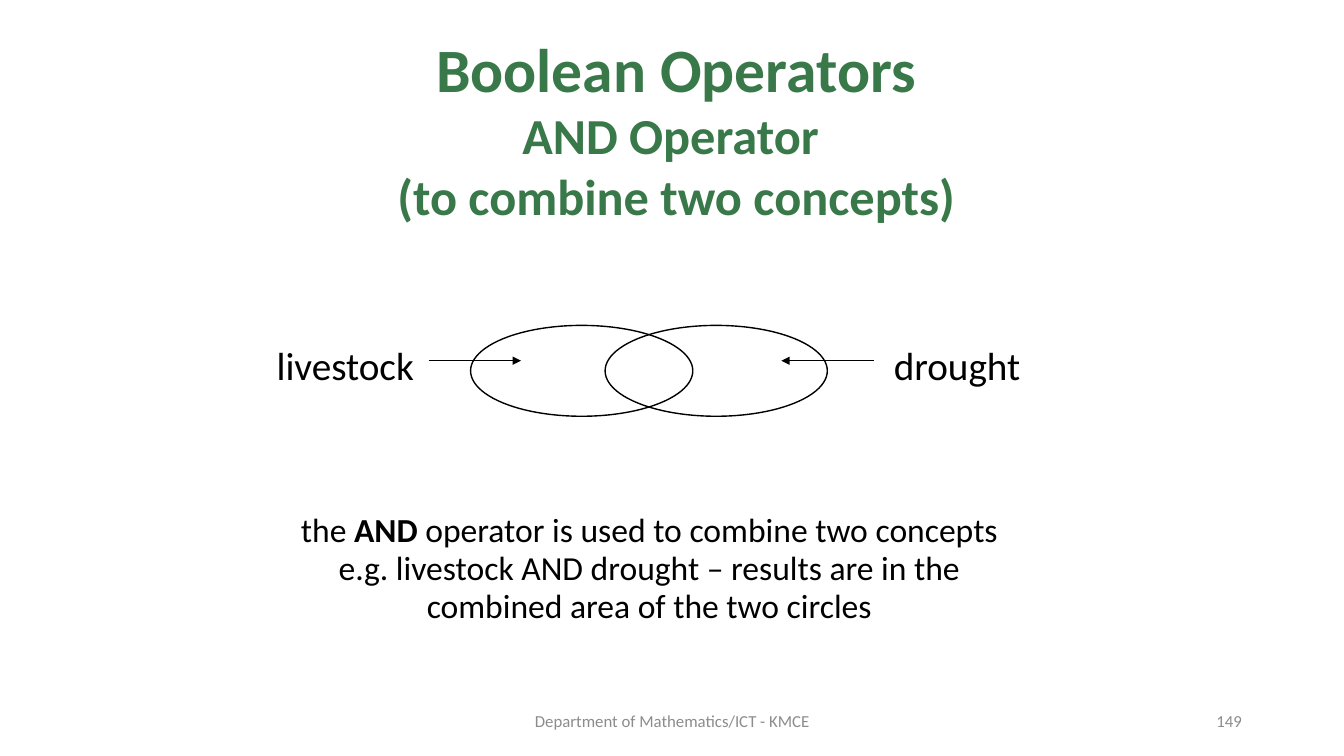
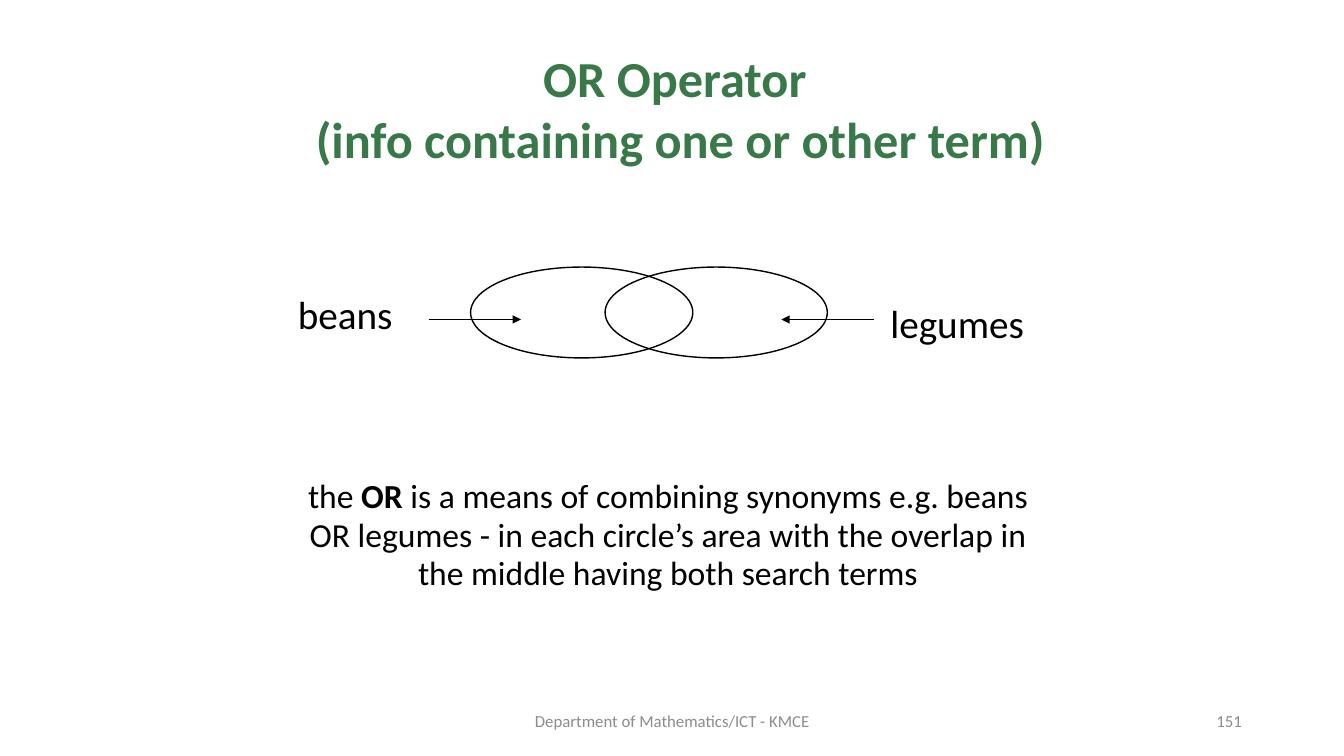
from lxml import etree
from pptx import Presentation
from pptx.dml.color import RGBColor
from pptx.enum import shapes, text
from pptx.oxml.ns import qn
from pptx.util import Cm, Pt

FONT = "Calibri"
GREEN, BLACK, GREY = "387849", "000000", "8C8C8C"
CENTER, RIGHT = text.PP_ALIGN.CENTER, text.PP_ALIGN.RIGHT
TOP, MIDDLE = text.MSO_ANCHOR.TOP, text.MSO_ANCHOR.MIDDLE
FOOTER = "Department of Mathematics/ICT - KMCE"

# Diagram measures in centimetres; x runs from the tail of the left arrow
DIAGRAM_LEFT, DIAGRAM_WIDTH = 10.8, 11.22
ELLIPSE_SIZE = 5.6, 2.29
ELLIPSE_OFFSETS = 1.06, 4.45
ARROW_LENGTH = 2.33
LABEL_SIZE = 4.4, 1.45
LABEL_GAP = 2.1

SLIDES = [
    {
        "title": [("Boolean Operators", 44),
                  ("AND Operator \v(to combine two concepts)", 36)],
        "title_box": (7.42, 0.64, 19.25, 5.2),
        "diagram_top": 8.2,
        "arrow_drop": 0.89,
        "labels": [("livestock", 0.26), ("drought", 0.26)],
        "body": ("the ", "AND", " operator is used to combine two concepts "
                 "e.g. livestock AND drought – results are in the "
                 "combined area of the two circles"),
        "body_box": (6.99, 12.7, 18.75, 3.23),
        "number": "149",
    },
    {
        "title": [("OR Operator \v(info containing one or other term)", 36)],
        "title_box": (5.72, 1.06, 22.86, 3.18),
        "diagram_top": 6.73,
        "arrow_drop": 1.32,
        "labels": [("beans", 0.46), ("legumes", 0.69)],
        "body": ("the ", "OR", " is a means of combining synonyms "
                 "e.g. beans OR legumes - in each circle’s area with the "
                 "overlap in the middle having both search terms"),
        "body_box": (6.99, 11.86, 19.69, 3.23),
        "number": "151",
    },
]


def color(value):
    return RGBColor.from_string(value)


def place(shape, box):
    shape.left, shape.top, shape.width, shape.height = map(Cm, box)


def set_frame(shape, anchor):
    frame = shape.text_frame
    frame.word_wrap = True
    frame.auto_size = text.MSO_AUTO_SIZE.NONE
    frame.vertical_anchor = anchor
    frame.margin_left = frame.margin_right = Cm(0.25)
    frame.margin_top = frame.margin_bottom = Cm(0.13)
    return frame


def style(paragraph, size, font_color, align=CENTER, bold=False):
    paragraph.alignment = align
    paragraph.space_before = Pt(0)
    font = paragraph.font
    font.name, font.size, font.bold = FONT, Pt(size), bold
    font.color.rgb = color(font_color)


def add_text(slide, content, box, size, font_color, align=CENTER, anchor=TOP):
    shape = slide.shapes.add_textbox(*map(Cm, box))
    paragraph = set_frame(shape, anchor).paragraphs[0]
    paragraph.text = content
    style(paragraph, size, font_color, align)


def fill_title(slide, lines, box):
    title = slide.shapes.title
    place(title, box)
    frame = set_frame(title, TOP)
    for index, (line, size) in enumerate(lines):
        paragraph = frame.add_paragraph() if index else frame.paragraphs[0]
        paragraph.text = line
        style(paragraph, size, GREEN, bold=True)


def fill_body(slide, parts, box):
    """Write one unbulleted paragraph whose second part is bold."""
    body = slide.placeholders[1]
    place(body, box)
    frame = set_frame(body, MIDDLE)
    frame.margin_top = Cm(0.18)
    paragraph = frame.paragraphs[0]
    style(paragraph, 24, BLACK)
    paragraph.line_spacing = 0.95
    for index, part in enumerate(parts):
        run = paragraph.add_run()
        run.text = part
        if index == 1:
            run.font.bold = True
    properties = paragraph._p.get_or_add_pPr()
    properties.set("marL", "0")
    properties.set("indent", "0")
    no_bullet = etree.Element(qn("a:buNone"))
    properties.find(qn("a:defRPr")).addprevious(no_bullet)


def add_ellipse(slide, left, top):
    ellipse = slide.shapes.add_shape(
        shapes.MSO_SHAPE.OVAL, *map(Cm, (left, top, *ELLIPSE_SIZE)))
    ellipse.shadow.inherit = False
    ellipse.fill.background()
    ellipse.line.color.rgb = color(BLACK)
    ellipse.line.width = Pt(1)


def add_arrow(slide, start, end, y):
    arrow = slide.shapes.add_connector(
        shapes.MSO_CONNECTOR.STRAIGHT, Cm(start), Cm(y), Cm(end), Cm(y))
    arrow.line.color.rgb = color(BLACK)
    arrow.line.width = Pt(0.75)
    etree.SubElement(arrow.line._get_or_add_ln(), qn("a:tailEnd"),
                     type="triangle")
    etree.SubElement(arrow._element.spPr, qn("a:effectLst"))


def add_venn(slide, left, top, labels, arrow_drop):
    """Draw two overlapping ellipses, each with an arrow and a label."""
    for offset in ELLIPSE_OFFSETS:
        add_ellipse(slide, left + offset, top)
    sides = [(left, 1), (left + DIAGRAM_WIDTH, -1)]
    for (start, inward), (label, drop) in zip(sides, labels):
        add_arrow(slide, start, start + inward * ARROW_LENGTH,
                  top + arrow_drop)
        label_left = start - inward * LABEL_GAP - LABEL_SIZE[0] / 2
        add_text(slide, label, (label_left, top + drop, *LABEL_SIZE),
                 28, BLACK)


def add_footer(slide, number, top=17.65, height=1.02):
    add_text(slide, FOOTER, (11.23, top, 11.43, height), 12, GREY,
             anchor=MIDDLE)
    add_text(slide, number, (23.93, top, 7.62, height), 12, GREY,
             RIGHT, MIDDLE)


def build_operator_slide(presentation, content):
    slide = presentation.slides.add_slide(presentation.slide_layouts[1])
    fill_title(slide, content["title"], content["title_box"])
    add_venn(slide, DIAGRAM_LEFT, content["diagram_top"], content["labels"],
             content["arrow_drop"])
    fill_body(slide, content["body"], content["body_box"])
    add_footer(slide, content["number"])


def main():
    presentation = Presentation()
    presentation.slide_width = Cm(33.87)
    presentation.slide_height = Cm(19.05)
    for content in SLIDES:
        build_operator_slide(presentation, content)
    presentation.save("out.pptx")


if __name__ == "__main__":
    main()
